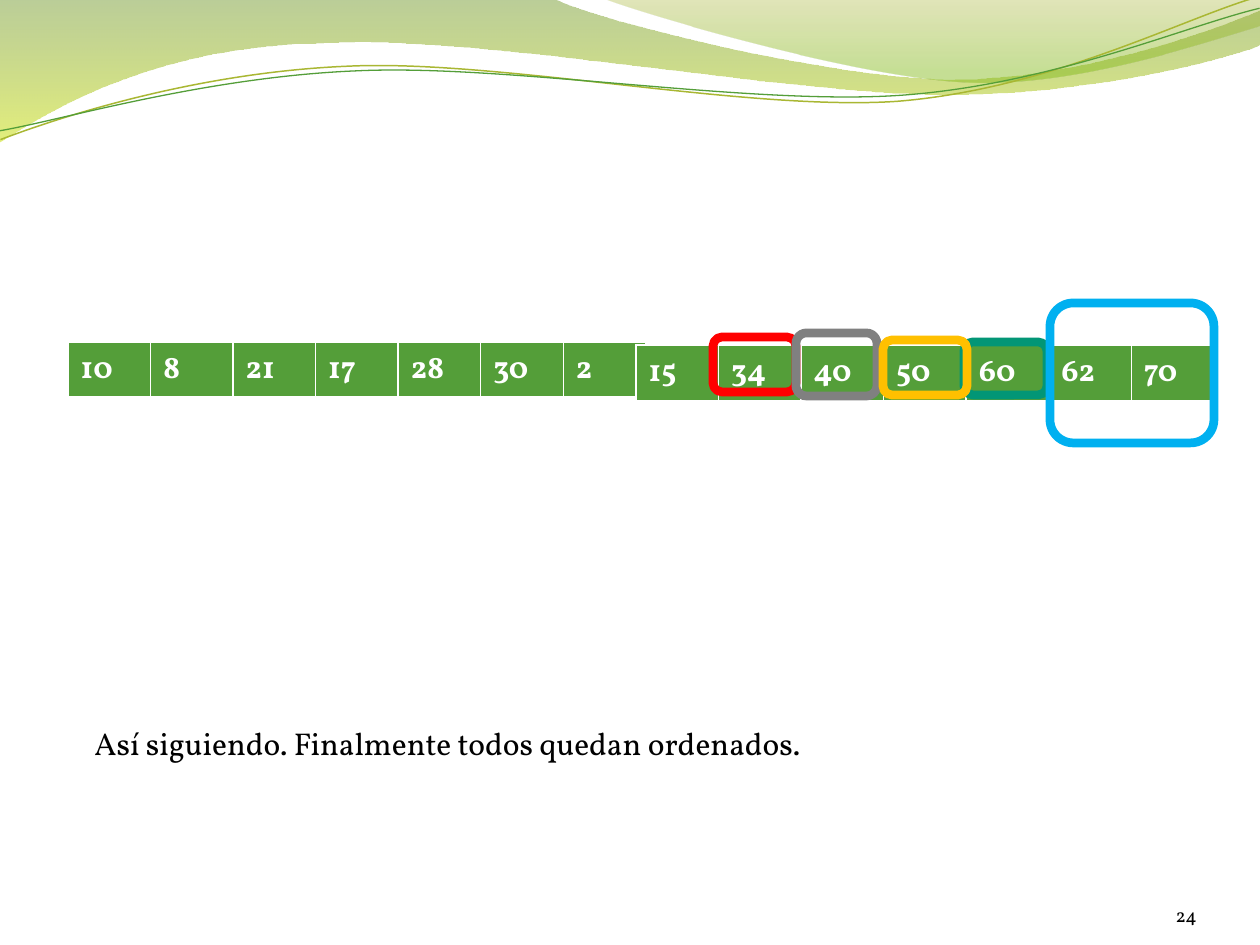
from lxml import etree
from pptx import Presentation
from pptx.dml.color import RGBColor
from pptx.enum.shapes import MSO_SHAPE
from pptx.enum.text import MSO_ANCHOR, PP_ALIGN
from pptx.oxml import parse_xml
from pptx.util import Emu, Pt

PX = 914400 / 126
NS = "http://schemas.openxmlformats.org/drawingml/2006/main"
ROUND_RECT = MSO_SHAPE.ROUNDED_RECTANGLE
BOTTOM, RIGHT = MSO_ANCHOR.BOTTOM, PP_ALIGN.RIGHT
FONT = "Vollkorn"
TILT = 357.3

COLORS = {
    "white": "FFFFFF", "black": "000000", "green": "549E39",
    "olive": "A9B733", "red": "FF0000", "teal": "029676",
    "gray": "808080", "amber": "FFC000", "sky": "00B0F0",
    "moss": "69921C", "lime": "CCE10F", "khaki": "9BAA1A", "leaf": "81BA16",
}


def px(n):
    return Emu(round(n * PX))


def rgb(name):
    return RGBColor.from_string(COLORS[name])


def tag(name):
    return f"{{{NS}}}{name}"


class SlideBuilder:
    def __init__(self, slide):
        self.slide = slide
        self.shapes = slide.shapes

    def style_run(self, r, size, color, bold=False):
        values = {"name": FONT, "size": Pt(size), "bold": bold}
        for key, value in values.items():
            setattr(r.font, key, value)
        r.font.color.rgb = rgb(color)

    def set_line(self, sp, color, width):
        sp.line.color.rgb = rgb(color)
        sp.line.width = Pt(width)

    def wave(self, start, segments, gradient=None, line=None, rotation=0):
        """Outline of segments: one point is a line, three are a curve."""
        points = [(px(x), px(y)) for seg in segments for x, y in seg]
        builder = self.shapes.build_freeform(*(px(v) for v in start))
        builder.add_line_segments(points, close=gradient is not None)
        sp = builder.convert_to_shape()
        self.bend(sp, segments)
        sp.shadow.inherit = False
        sp.rotation = rotation
        sp.fill.background()
        if gradient:
            self.set_gradient(sp, gradient)
            sp.line.fill.background()
        else:
            self.set_line(sp, *line)

    def bend(self, sp, segments):
        """Join the three lines of each curve segment into a cubic curve."""
        lines = iter(list(sp._element.iter(tag("lnTo"))))
        for seg in segments:
            group = [next(lines) for _ in seg]
            if len(group) == 3:
                curve = etree.Element(tag("cubicBezTo"))
                group[0].addprevious(curve)
                for ln in group:
                    curve.append(ln[0])
                    ln.getparent().remove(ln)

    def set_gradient(self, sp, stops):
        gs = "".join(
            f'<a:gs pos="{pos * 1000}"><a:srgbClr val="{COLORS[color]}">'
            f'<a:alpha val="{alpha * 1000}"/></a:srgbClr></a:gs>'
            for pos, color, alpha in stops)
        grad = parse_xml(f'<a:gradFill xmlns:a="{NS}"><a:gsLst>{gs}</a:gsLst>'
                         '<a:lin ang="5400000" scaled="0"/></a:gradFill>')
        spPr = sp._element.spPr
        spPr.replace(spPr.find(tag("noFill")), grad)

    def number_row(self, x, y, w, h, numbers):
        frame = self.shapes.add_table(1, len(numbers), px(x), px(y), px(w), px(h))
        for cell, number in zip(frame.table.rows[0].cells, numbers):
            cell.fill.solid()
            cell.fill.fore_color.rgb = rgb("green")
            r = cell.text_frame.paragraphs[0].add_run()
            r.text = str(number)
            self.style_run(r, 18, "white", bold=True)
            self.set_borders(cell)

    def set_borders(self, cell):
        tcPr = cell._tc.get_or_add_tcPr()
        widths = {"lnL": 1, "lnR": 1, "lnT": 1, "lnB": 3}
        for i, (side, width) in enumerate(widths.items()):
            ln = etree.Element(tag(side), w=str(Pt(width)))
            fill = etree.SubElement(ln, tag("solidFill"))
            etree.SubElement(fill, tag("srgbClr"), val=COLORS["white"])
            tcPr.insert(i, ln)

    def frame(self, x, y, w, h, color):
        sp = self.shapes.add_shape(ROUND_RECT, px(x), px(y), px(w), px(h))
        sp.shadow.inherit = False
        sp.fill.background()
        self.set_line(sp, color, 5)

    def text(self, x, y, w, h, text, size, align=None, **frame_format):
        tf = self.shapes.add_textbox(px(x), px(y), px(w), px(h)).text_frame
        for key, value in frame_format.items():
            setattr(tf, key, value)
        p = tf.paragraphs[0]
        p.alignment = align
        r = p.add_run()
        r.text = text
        self.style_run(r, size, "black")


def main():
    prs = Presentation()
    prs.slide_width, prs.slide_height = px(1260), px(945)
    s = SlideBuilder(prs.slides.add_slide(prs.slide_layouts[6]))

    # Header waves
    s.wave((0, 0), [
        [(554, -1)],
        [(598, 21), (835, 79), (955, 79)],
        [(1075, 79), (1207, 33), (1260, 11)],
        [(1261, 45)],
        [(1239, 55), (1095, 96), (940, 94)],
        [(784, 94), (480, 35), (324, 43)],
        [(163, 45), (58, 105), (-1, 142)],
    ], gradient=[(0, "moss", 45), (100, "lime", 55)])
    s.wave((604, -1), [
        [(641, 14), (859, 78), (968, 82)],
        [(1077, 87), (1211, 40), (1260, 26)],
        [(1260, 0)],
    ], gradient=[(0, "khaki", 30), (80, "leaf", 45)])
    s.wave((-2, 110), [
        [(59, 90), (198, 52), (349, 53)],
        [(499, 53), (744, 117), (895, 114)],
        [(1049, 109), (1184, 45), (1259, 27)],
    ], line=("olive", 0.85), rotation=TILT)
    s.wave((-2, 101), [
        [(57, 94), (205, 57), (357, 58)],
        [(508, 58), (750, 112), (902, 108)],
        [(1052, 104), (1188, 52), (1262, 38)],
    ], line=("green", 0.75), rotation=TILT)

    # Page number
    s.text(1092, 876, 105, 50, "24", 11, RIGHT, word_wrap=True,
           vertical_anchor=BOTTOM, margin_left=0, margin_right=0,
           margin_top=0, margin_bottom=0)

    # Unsorted and sorted halves of the array
    s.number_row(68, 342, 578, 56, [10, 8, 21, 17, 28, 30, 2])
    s.number_row(636, 345, 578, 57, [15, 34, 40, 50, 60, 62, 70])

    # Frames around the sorted numbers
    for box in [
        (713, 337, 83, 55, "red"),
        (964, 342, 83, 53, "teal"),
        (796, 333, 81, 63, "gray"),
        (883, 340, 84, 55, "amber"),
        (1050, 303, 164, 140, "sky"),
    ]:
        s.frame(*box)

    # Closing remark
    s.text(82, 718, 760, 50, "Así siguiendo. Finalmente todos quedan ordenados.",
           18, word_wrap=False)

    prs.save("out.pptx")


if __name__ == "__main__":
    main()
